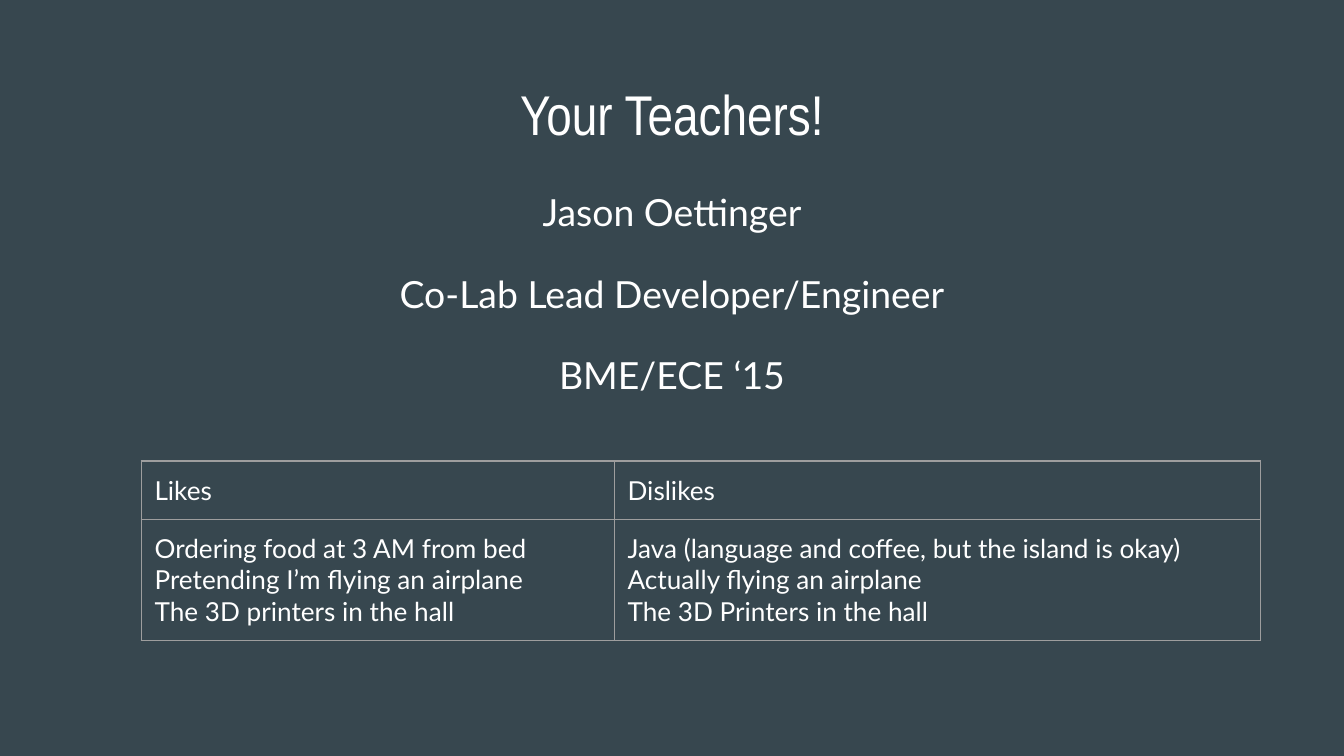
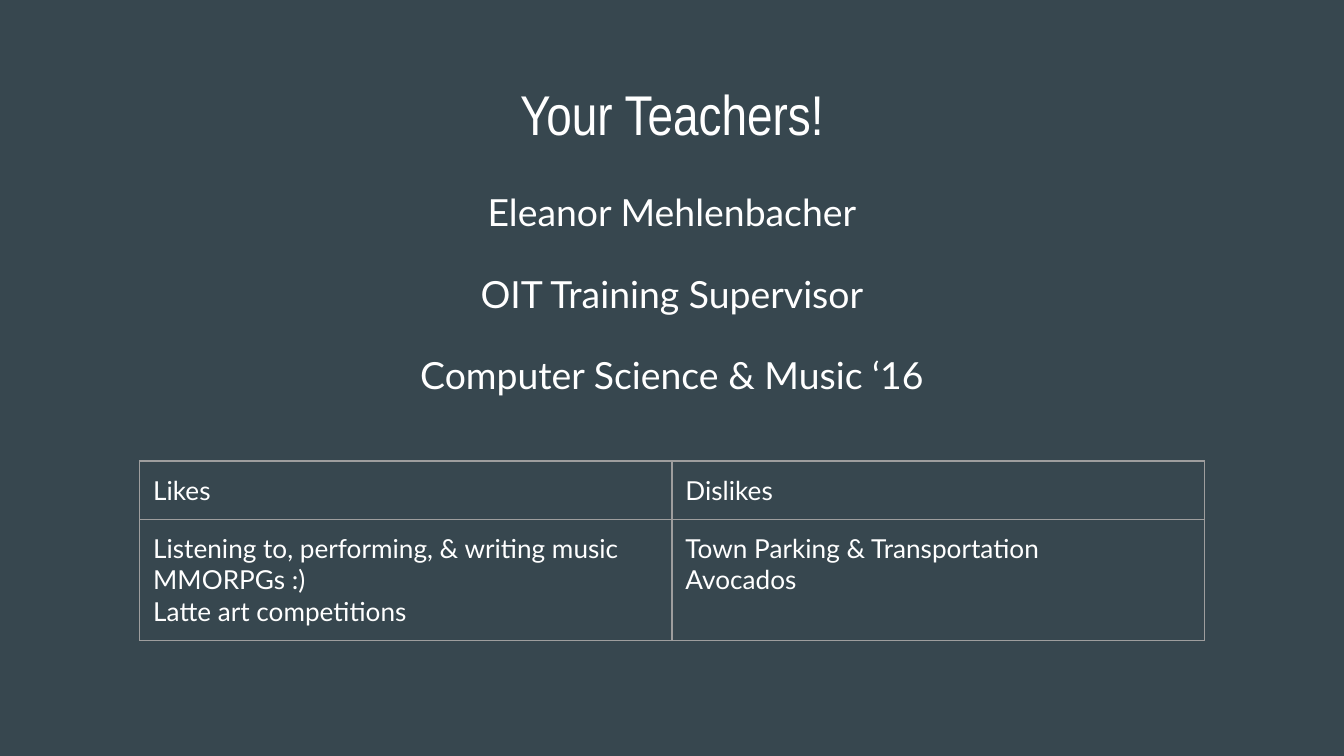
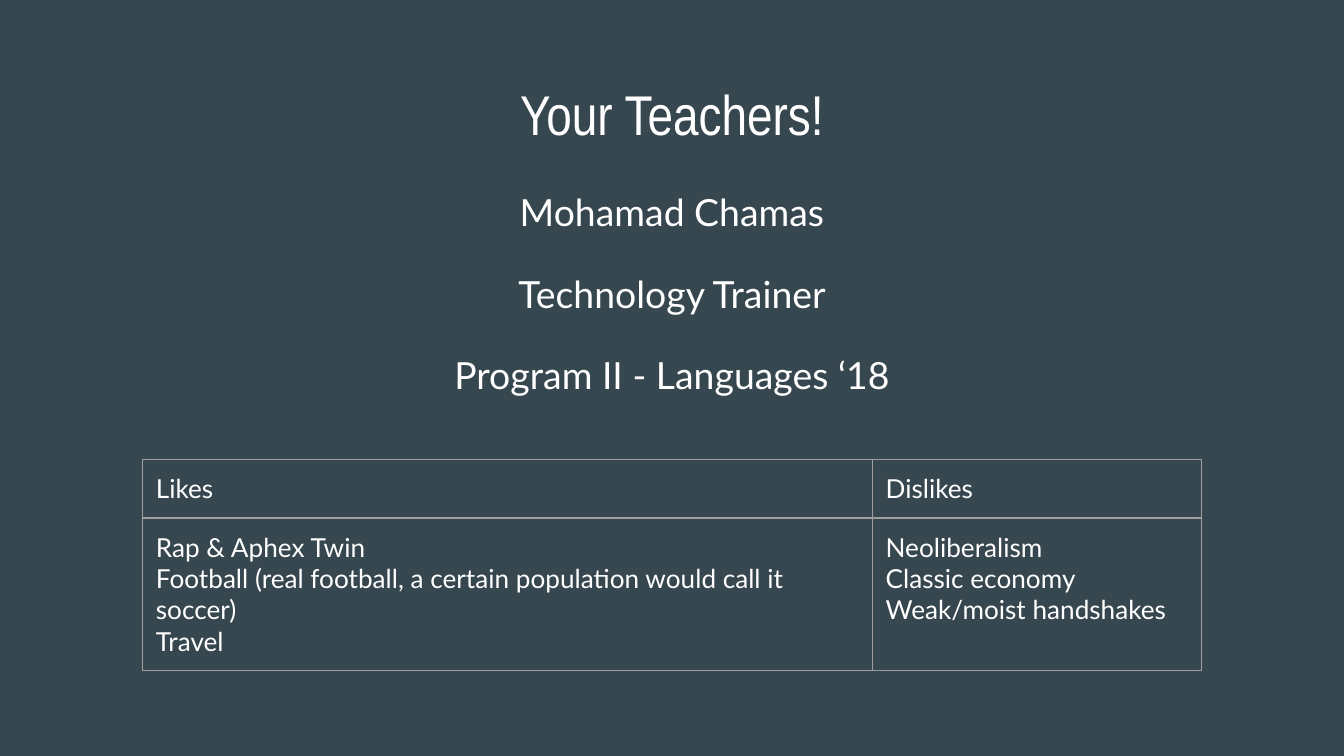
from lxml import etree
from pptx import Presentation
from pptx.dml.color import RGBColor
from pptx.enum import text
from pptx.oxml import ns
from pptx.util import Inches, Pt

TITLE = "Your Teachers!"
HEADINGS = ("Likes", "Dislikes")
TEACHERS = [
    {
        "about": ["Jason Oettinger", "Co-Lab Lead Developer/Engineer", "BME/ECE ‘15"],
        "likes": ["Ordering food at 3 AM from bed", "Pretending I’m flying an airplane",
                  "The 3D printers in the hall"],
        "dislikes": ["Java (language and coffee, but the island is okay)",
                     "Actually flying an airplane", "The 3D Printers in the hall"],
        "table_at": (1.05, 3.43),
        "columns": (3.52, 4.81),
    },
    {
        "about": ["Eleanor Mehlenbacher", "OIT Training Supervisor",
                  "Computer Science & Music ‘16"],
        "likes": ["Listening to, performing, & writing music", "MMORPGs :)",
                  "Latte art competitions"],
        "dislikes": ["Town Parking & Transportation", "Avocados"],
        "table_at": (1.04, 3.43),
        "columns": (3.96, 3.96),
    },
    {
        "about": ["Mohamad Chamas", "Technology Trainer", "Program II - Languages ‘18"],
        "likes": ["Rap & Aphex Twin",
                  "Football (real football, a certain population would call it soccer)",
                  "Travel"],
        "dislikes": ["Neoliberalism", "Classic economy", "Weak/moist handshakes"],
        "table_at": (1.06, 3.42),
        "columns": (5.43, 2.45),
    },
]

# Shared style
SLATE = RGBColor(0x37, 0x47, 0x4F)
WHITE = RGBColor(0xFF, 0xFF, 0xFF)
GREY = RGBColor(0x9E, 0x9E, 0x9E)
TITLE_FONT, BODY_FONT = "Arial Narrow", "Lato"
SLIDE_WIDTH = Inches(10)
SLIDE_HEIGHT = SLIDE_WIDTH * 9 // 16
SIDE, TEXT_WIDTH = 0.34, 9.32
INSET = Inches(0.1)
ROW_HEIGHT = 0.42


def write_lines(frame, lines, font, size, align=None, spacing=None, after=None):
    """Put one paragraph per line, all in the same style."""
    frame.text = "\n".join(lines)
    for line in frame.paragraphs:
        line.font.name, line.font.size = font, Pt(size)
        line.font.color.rgb = WHITE
        line.alignment = align
        line.line_spacing = spacing
        line.space_after = after


def add_centred_text(slide, top, height, lines, font, size, **spacing):
    box = slide.shapes.add_textbox(Inches(SIDE), Inches(top), Inches(TEXT_WIDTH), Inches(height))
    frame = box.text_frame
    frame.word_wrap = True
    frame.margin_left = frame.margin_right = frame.margin_top = frame.margin_bottom = INSET
    write_lines(frame, lines, font, size, text.PP_ALIGN.CENTER, **spacing)


def outline_cell(cell):
    properties = cell._tc.get_or_add_tcPr()
    for side in ("lnL", "lnR", "lnT", "lnB"):
        border = etree.SubElement(properties, ns.qn(f"a:{side}"), w=str(Pt(0.75)))
        fill = etree.SubElement(border, ns.qn("a:solidFill"))
        etree.SubElement(fill, ns.qn("a:srgbClr"), val=str(GREY))


def add_tastes(slide, teacher):
    rows = [[[heading] for heading in HEADINGS], [teacher["likes"], teacher["dislikes"]]]
    left, top = teacher["table_at"]
    widths = teacher["columns"]
    tastes = slide.shapes.add_table(
        len(rows), len(widths), Inches(left), Inches(top),
        Inches(sum(widths)), Inches(ROW_HEIGHT * len(rows))).table
    tastes.first_row = tastes.horz_banding = False
    for column, width in zip(tastes.columns, widths):
        column.width = Inches(width)
    for r, row in enumerate(rows):
        for c, lines in enumerate(row):
            cell = tastes.cell(r, c)
            cell.margin_left = cell.margin_right = cell.margin_top = cell.margin_bottom = INSET
            outline_cell(cell)
            cell.fill.background()
            write_lines(cell.text_frame, lines, BODY_FONT, 14)


def main():
    deck = Presentation()
    deck.slide_width, deck.slide_height = SLIDE_WIDTH, SLIDE_HEIGHT
    blank = deck.slide_layouts[6]
    for teacher in TEACHERS:
        slide = deck.slides.add_slide(blank)
        slide.background.fill.solid()
        slide.background.fill.fore_color.rgb = SLATE
        # Title, introduction, then likes and dislikes
        add_centred_text(slide, 0.49, 0.63, [TITLE], TITLE_FONT, 30)
        add_centred_text(slide, 1.26, 3.74, teacher["about"], BODY_FONT, 20,
                         spacing=1.15, after=Pt(16))
        add_tastes(slide, teacher)
    deck.save("out.pptx")


if __name__ == "__main__":
    main()
